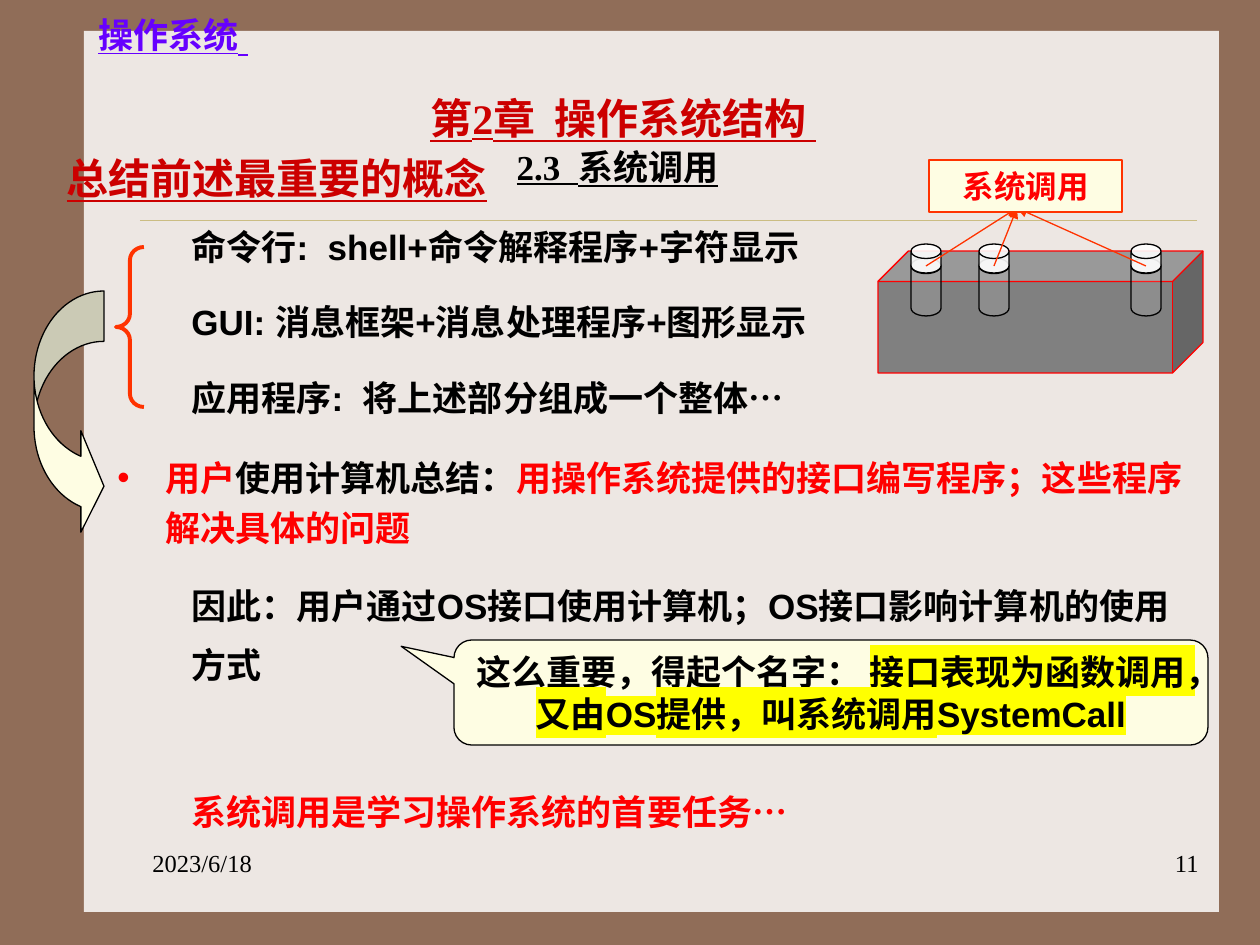
import pptx
import pptx.util
import pptx.dml.color
import pptx.enum.dml
import pptx.enum.shapes
import pptx.enum.text
import pptx.oxml.ns
from lxml import etree

PX = 914400 / 126
SHAPE = pptx.enum.shapes.MSO_SHAPE
ALIGN = pptx.enum.text.PP_ALIGN
ANCHOR = pptx.enum.text.MSO_ANCHOR
SERIF, SANS = "Times New Roman", "Arial"
BLACK, RED, DARK_RED, ORANGE, CREAM = "000000", "FF0000", "CC0000", "FF3300", "FEFDE3"


def emu(px):
    """Turn px into EMU."""
    return pptx.util.Emu(round(px * PX))


def paint(color_format, value):
    """Set a colour from a hex string."""
    color_format.rgb = pptx.dml.color.RGBColor.from_string(value)


def add_xml(parent, tag, **attrs):
    """Append a DrawingML child element."""
    return etree.SubElement(parent, pptx.oxml.ns.qn("a:" + tag), **attrs)


def style_line(line, color, width):
    """Set the colour and width of a line."""
    paint(line.color, color)
    line.width = pptx.util.Pt(width)


def add_shape(slide, kind, box, fill=None, line=None, width=0.75, adj=(), alpha=None):
    """Draw a preset shape in a box."""
    sp = slide.shapes.add_shape(kind, *map(emu, box))
    sp.shadow.inherit = False
    for i, value in enumerate(adj):
        sp.adjustments[i] = value
    if fill:
        sp.fill.solid()
        paint(sp.fill.fore_color, fill)
    else:
        sp.fill.background()
    if alpha:
        color = sp._element.spPr.find(".//" + pptx.oxml.ns.qn("a:srgbClr"))
        add_xml(color, "alpha", val=str(alpha * 1000))
    if line:
        style_line(sp.line, line, width)
    else:
        sp.line.fill.background()
    return sp


def add_line(slide, start, end, color, width, arrow=False):
    """Draw a straight line, with an arrowhead at its end if asked."""
    cxn = slide.shapes.add_connector(
        pptx.enum.shapes.MSO_CONNECTOR.STRAIGHT, *map(emu, start + end))
    style_line(cxn.line, color, width)
    if arrow:
        add_xml(cxn.line._get_or_add_ln(), "tailEnd", type="triangle")
    add_xml(cxn._element.spPr, "effectLst")


def write(sp, runs, size, font, color, align=ALIGN.LEFT, anchor=ANCHOR.TOP, bold=True,
          underline=None, spacing=None, margin=0, bullet=None):
    """Fill a shape with one paragraph and return its runs."""
    tf = sp.text_frame
    tf.word_wrap = True
    tf.vertical_anchor = anchor
    p = tf.paragraphs[0]
    p.alignment = align
    if spacing:
        p.line_spacing = spacing
    if margin:
        pPr = p._p.get_or_add_pPr()
        pPr.set("marL", str(emu(margin)))
        pPr.set("indent", str(-emu(margin) if bullet else 0))
        if bullet:
            add_xml(pPr, "buFont", typeface=SANS)
            add_xml(pPr, "buChar", char=bullet)
    p.font.size = pptx.util.Pt(size)
    p.font.name = font
    p.font.bold = bold
    p.font.underline = underline
    if color:
        paint(p.font.color, color)
    made = []
    for text in runs:
        r = p.add_run()
        r.text = text
        made.append(r)
    return made


def add_text(slide, box, runs, *args, **kwargs):
    """Place a text box and return its runs."""
    return write(slide.shapes.add_textbox(*map(emu, box)), runs, *args, **kwargs)


def add_heading(slide, box, runs, size, color):
    """Place a centred, underlined heading."""
    return add_text(slide, box, runs, size, SERIF, color, align=ALIGN.CENTER,
                    anchor=ANCHOR.MIDDLE, underline=True)


def add_frame(slide, box):
    """Draw the page panel with its rule, course name, chapter and footer."""
    x, y, w, h = box
    add_shape(slide, SHAPE.RECTANGLE, box, "EDE7E3")
    add_line(slide, (x + 56, y + 189), (x + w - 22, y + 189), "CBBD83", 0.25)
    space = add_heading(slide, (x - 20, y - 31, 218, 63), ["操作系统", " "], 20, "6600FF")[1]
    space.font.size = pptx.util.Pt(24)
    space.font.bold = False
    space.font.italic = True
    add_heading(slide, (x + 323, y + 55, 432, 63), ["第2章  操作系统结构 "], 24, DARK_RED)
    for left, text, align in ((56, "2023/6/18", ALIGN.LEFT), (865, "11", ALIGN.RIGHT)):
        add_text(slide, (x + left, y + 811, 262, 63), [text], 14, SERIF, BLACK,
                 align=align, bold=False)


def add_statement(slide, box, text, color=BLACK):
    """Place one indented statement."""
    add_text(slide, box, [text], 20, SANS, color, spacing=1.4, margin=63)


def add_interfaces(slide, box):
    """List the kinds of interface beside a brace and a curved arrow."""
    x, y, w, h = box
    lines = ("命令行:  shell+命令解释程序+字符显示",
             "GUI: 消息框架+消息处理程序+图形显示",
             "应用程序:  将上述部分组成一个整体…")
    for i, text in enumerate(lines):
        add_statement(slide, (x, y + i * h // 3, w, 72), text)
    add_shape(slide, SHAPE.LEFT_BRACE, (x, y + 44, 28, 160), line=ORANGE, width=2.25,
              adj=(0.47, 0.5))
    add_shape(slide, SHAPE.CURVED_RIGHT_ARROW, (x - 82, y + 88, 70, 246), CREAM, BLACK,
              adj=(0.72, 1.45, 0.33))


def add_summary(slide, box):
    """Write the bulleted summary and the conclusions below it."""
    x, y, w, h = box
    runs = add_text(slide, (x, y, w, 120),
                    ["用户", "使用计算机总结：", "用操作系统提供的接口编写程序；这些程序解决具体的问题"],
                    20, SERIF, None, spacing=1.2, margin=48, bullet="•")
    for r, color in zip(runs, (RED, BLACK, RED)):
        paint(r.font.color, color)
    add_statement(slide, (x + 11, y + 120, w - 32, 130),
                  "因此：用户通过OS接口使用计算机；OS接口影响计算机的使用方式")
    add_statement(slide, (x + 11, y + h - 72, w - 32, 72),
                  "系统调用是学习操作系统的首要任务…", RED)


def add_callout(slide, box):
    """Draw the callout that names the system call."""
    sp = add_shape(slide, SHAPE.ROUNDED_RECTANGULAR_CALLOUT, box, CREAM, BLACK,
                   adj=(-0.57, -0.44, 0.17))
    runs = write(sp, ["这么重要，得起个名字： ", "接口表现为函数调用，又由OS提供，叫系统调用SystemCall"],
                 20, SANS, BLACK, align=ALIGN.CENTER, anchor=ANCHOR.MIDDLE)
    highlight = add_xml(runs[1]._r.get_or_add_rPr(), "highlight")
    add_xml(highlight, "srgbClr", val="FFFF00")


def add_socket_block(slide, box):
    """Draw the block with its sockets, all pointing to the system call label."""
    x, y, w, h = box
    add_shape(slide, SHAPE.CUBE, (x, y + h - 122, w, 122), "808080", RED, adj=(0.25,))
    sockets = (33, 101, 253)
    for left in sockets:
        for top, height, adj, alpha in ((98, 58, 0.52, 11), (84, 29, 0.5, 89)):
            add_shape(slide, SHAPE.CAN, (x + left, y + top, 30, height), "FFFFFF", BLACK,
                      adj=(adj,), alpha=alpha)
    for left in sockets:
        add_line(slide, (x + left + 15, y + 106), (x + 139, y + 48), ORANGE, 0.75, arrow=True)
    label = add_shape(slide, SHAPE.RECTANGLE, (x + 51, y, 193, 52), CREAM, ORANGE)
    write(label, ["系统调用"], 18, SANS, RED, align=ALIGN.CENTER, anchor=ANCHOR.MIDDLE)


def main():
    """Build the slide and save it."""
    prs = pptx.Presentation()
    prs.slide_width, prs.slide_height = emu(1260), emu(945)
    slide = prs.slides.add_slide(prs.slide_layouts[6])
    slide.background.fill.solid()
    paint(slide.background.fill.fore_color, "906D58")
    add_frame(slide, (84, 31, 1135, 881))
    add_heading(slide, (13, 131, 528, 93), ["总结前述最重要的概念"], 24, DARK_RED)
    add_interfaces(slide, (116, 203, 1050, 227))
    add_summary(slide, (105, 442, 1113, 397))
    add_callout(slide, (454, 640, 754, 105))
    add_socket_block(slide, (878, 160, 325, 213))
    add_heading(slide, (397, 135, 441, 63), ["2.3  系统调用"], 20, BLACK)
    prs.save("out.pptx")


if __name__ == "__main__":
    main()
